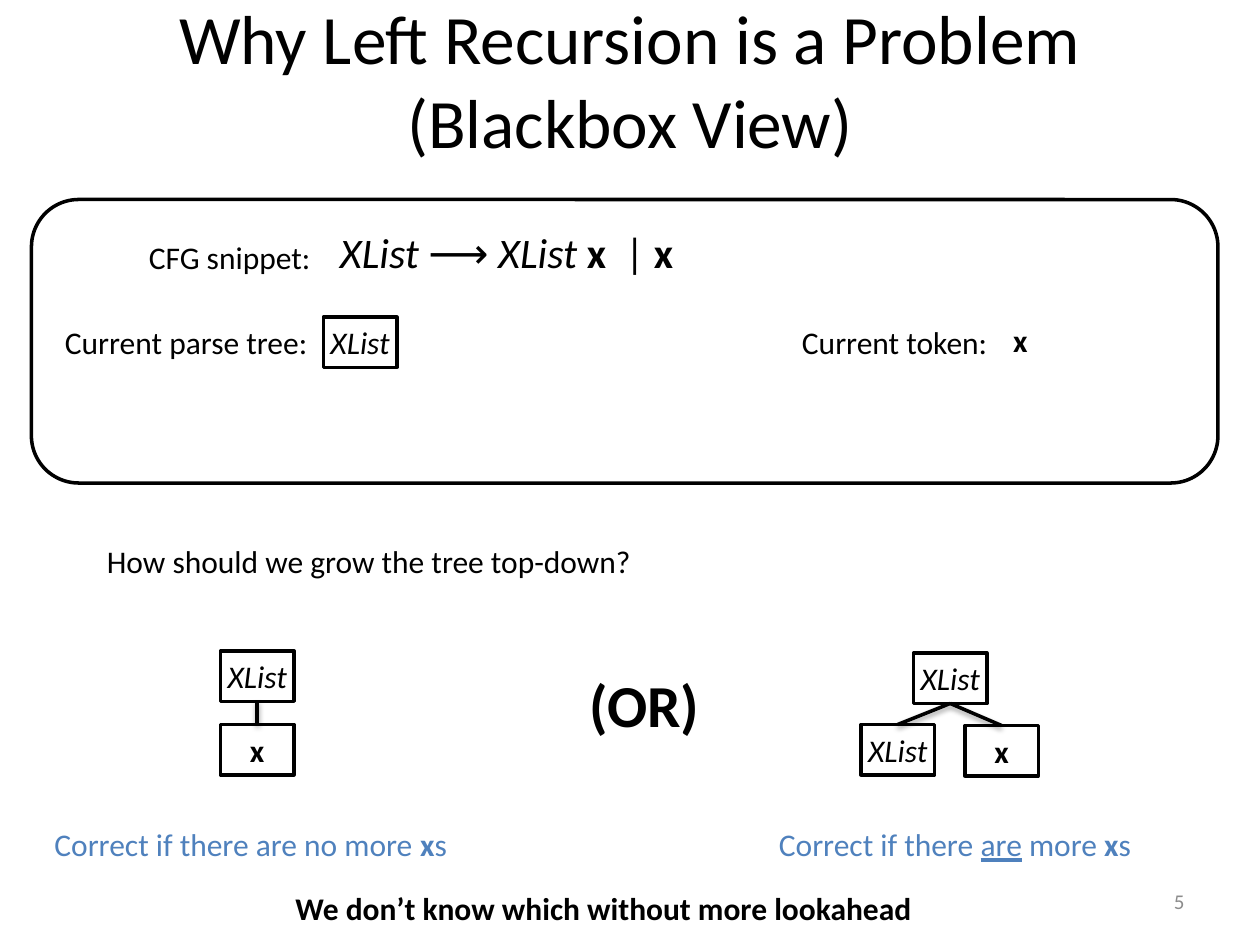
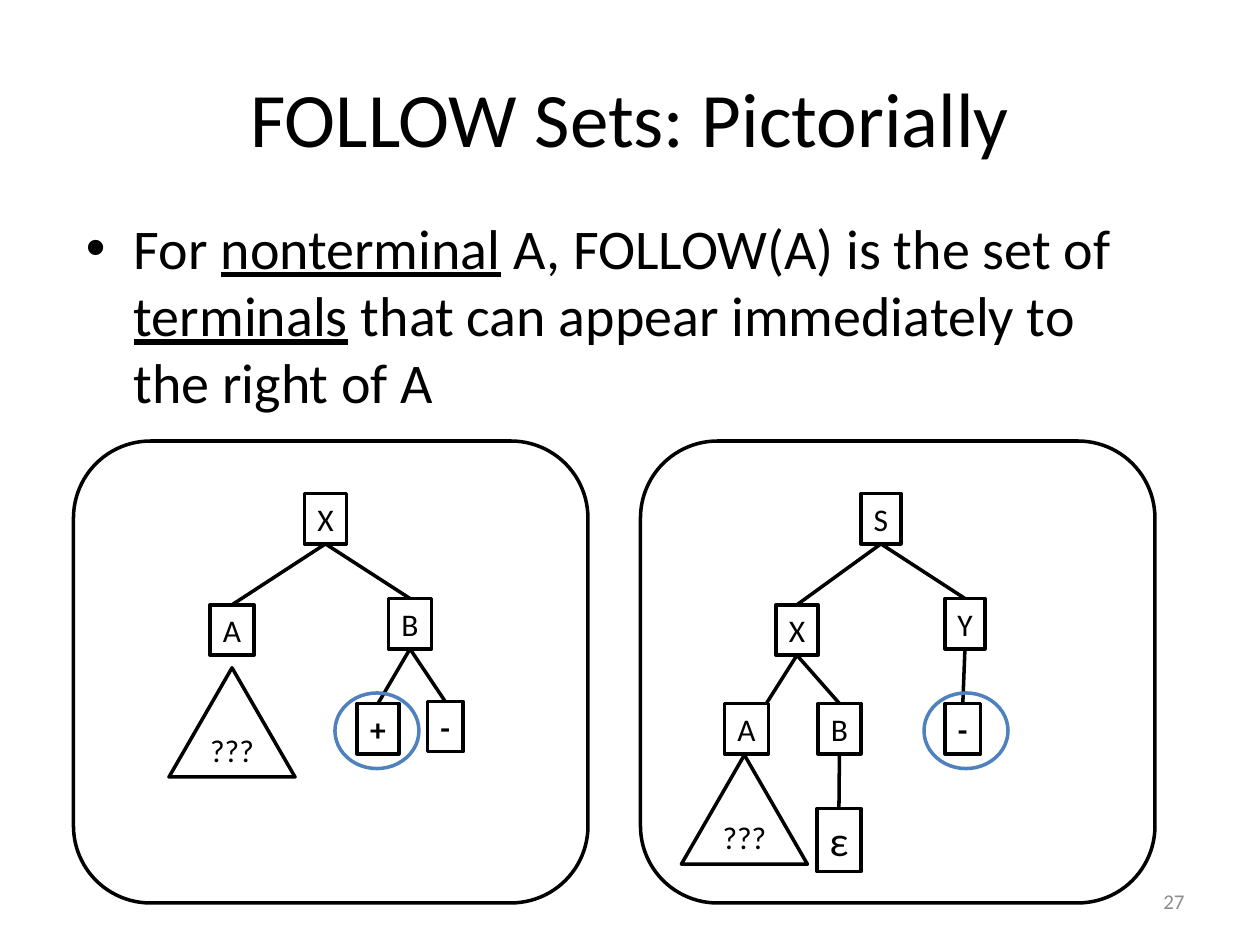
from lxml import etree
from pptx import Presentation
from pptx.dml.color import RGBColor
from pptx.enum.shapes import MSO_CONNECTOR, MSO_SHAPE
from pptx.enum.text import MSO_ANCHOR, MSO_AUTO_SIZE, PP_ALIGN
from pptx.oxml.ns import qn
from pptx.util import Inches, Pt

LEFT, CENTER, RIGHT = PP_ALIGN.LEFT, PP_ALIGN.CENTER, PP_ALIGN.RIGHT
TOP, MIDDLE = MSO_ANCHOR.TOP, MSO_ANCHOR.MIDDLE
RECT, PANEL = MSO_SHAPE.RECTANGLE, MSO_SHAPE.ROUNDED_RECTANGLE
TRIANGLE, ELLIPSE = MSO_SHAPE.ISOSCELES_TRIANGLE, MSO_SHAPE.OVAL
FIT, STRAIGHT = MSO_AUTO_SIZE.SHAPE_TO_FIT_TEXT, MSO_CONNECTOR.STRAIGHT

FONT = "Calibri"
BLACK, WHITE, BLUE, GRAY = "000000", "FFFFFF", "4F81BD", "8C8C8C"
COLS, ROWS = 120, 90
LINE_H = 4.8    # rows taken by one line of 18 pt text
NARROW = 0.05   # inset in inches


def rgb(value):
    return RGBColor.from_string(value)


def write(tf, runs, size=18, color=BLACK, align=LEFT, style="", bullet=False):
    """Fill a frame; runs is a string or (text, style) pairs, style being letters of b, i, u."""
    p = tf.paragraphs[0]
    p.alignment = align
    if bullet:
        pPr = p._p.get_or_add_pPr()
        pPr.set("marL", str(Inches(0.38)))
        pPr.set("indent", str(-Inches(0.38)))
        etree.SubElement(pPr, qn("a:buFont"), typeface="Arial")
        etree.SubElement(pPr, qn("a:buChar"), char="•")
    for text, marks in [(runs, style)] if isinstance(runs, str) else runs:
        for i, part in enumerate(text.split("\n")):
            if i:
                p.add_line_break()
            r = p.add_run()
            r.text = part
            font = r.font
            font.name, font.size = FONT, Pt(size)
            font.color.rgb = rgb(color)
            font.bold, font.italic, font.underline = (m in marks for m in "biu")


class Deck:
    def __init__(self):
        self.prs = Presentation()
        self.prs.slide_width, self.prs.slide_height = Inches(10), Inches(7.5)
        self.s = None

    def box(self, col, row, w, h):
        dx, dy = self.prs.slide_width / COLS, self.prs.slide_height / ROWS
        return round(col * dx), round(row * dy), round(w * dx), round(h * dy)

    def slide(self, number):
        self.s = self.prs.slides.add_slide(self.prs.slide_layouts[6])
        self.text(str(number), 86, 83.4, 28, anchor=MIDDLE, size=12, color=GRAY, align=RIGHT)

    def title(self, text, col, row, w, size=44):
        self.text(text, col, row, w, 15, anchor=MIDDLE, size=size, align=CENTER)

    def text(self, runs, col, row, w, h=LINE_H, wrap=True, anchor=TOP, **fmt):
        tf = self.s.shapes.add_textbox(*self.box(col, row, w, h)).text_frame
        tf.word_wrap, tf.vertical_anchor = wrap, anchor
        write(tf, runs, **fmt)

    def label(self, runs, col, row, w, h=LINE_H, **fmt):
        self.text(runs, col, row, w, h, wrap=False, **fmt)

    def shape(self, kind, col, row, w, h, fill=WHITE, line=BLACK):
        sp = self.s.shapes.add_shape(kind, *self.box(col, row, w, h))
        sp.shadow.inherit = False
        if fill:
            sp.fill.solid()
            sp.fill.fore_color.rgb = rgb(fill)
        else:
            sp.fill.background()
        sp.line.color.rgb, sp.line.width = rgb(line), Pt(2)
        return sp

    def node(self, text, col, row, w, h=LINE_H, wrap=False, inset=0.1, **fmt):
        sp = self.shape(RECT, col, row, w, h)
        tf = sp.text_frame
        tf.word_wrap, tf.auto_size, tf.vertical_anchor = wrap, FIT, TOP
        tf.margin_left = tf.margin_right = Inches(inset)
        write(tf, text, align=CENTER, **fmt)
        return sp

    def xlist(self, col, row):
        return self.node("XList", col, row, 7, wrap=True, inset=NARROW, style="i")

    def token(self, col, row):
        return self.node("x", col, row, 7, wrap=True, style="b")

    def subtree(self, col, row):
        """Triangle that stands for an unknown subtree."""
        tf = self.shape(TRIANGLE, col, row, 12, 10.4).text_frame
        tf.vertical_anchor = MIDDLE
        tf.margin_left = tf.margin_right = tf.margin_top = tf.margin_bottom = Inches(NARROW)
        write(tf, "???", align=CENTER)

    def ring(self, col, row):
        self.shape(ELLIPSE, col, row, 8, 7.2, fill=None, line=BLUE)

    def edge(self, parent, child, at=0.5, shadow=False):
        """Join parent's bottom to child's top, at a share of the child's width."""
        line = self.s.shapes.add_connector(
            STRAIGHT, parent.left + parent.width // 2, parent.top + parent.height,
            child.left + round(child.width * at), child.top)
        line.begin_connect(parent, 2)
        if at == 0.5:
            line.end_connect(child, 0)
        line.line.color.rgb, line.line.width = rgb(BLACK), Pt(2)
        effects = etree.SubElement(line._element.spPr, qn("a:effectLst"))
        if shadow:
            outer = etree.SubElement(effects, qn("a:outerShdw"), blurRad=str(Pt(3.1)),
                                     dist=str(Pt(1.6)), dir="5400000", rotWithShape="0")
            clr = etree.SubElement(outer, qn("a:srgbClr"), val=BLACK)
            etree.SubElement(clr, qn("a:alpha"), val="38000")

    def edges(self, parent, *children, **fmt):
        for child in children:
            self.edge(parent, child, **fmt)


def left_recursion(d):
    d.slide(5)
    d.shape(PANEL, 3, 19, 113, 27)
    d.title("Why Left Recursion is a Problem\n(Blackbox View)", 0, 0, 120, size=39.6)

    d.label("CFG snippet:", 13, 22.1, 18)
    d.text([("XList ", "i"), ("⟶ ", ""), ("XList ", "i"), ("x  ", "b"), ("| ", ""), ("x", "b")],
           31.2, 21, 48, 6, size=24)
    d.label("Current parse tree:", 5, 30.2, 25.8)
    d.xlist(30.8, 30.2)
    d.label("Current token:", 75.2, 30.2, 20.3)
    d.label("x", 95.3, 30, 3.8, style="b")
    d.label("How should we grow the tree top-down?", 9, 51, 53)

    d.edges(d.xlist(21, 62), d.token(21, 69), shadow=True)
    d.label("(OR)", 55, 63, 13, 8, size=34, style="b")
    d.edges(d.xlist(87, 62.2), d.xlist(82, 69), d.token(91.9, 69.1), shadow=True)

    d.label([("Correct if there are no more ", ""), ("x", "b"), ("s", "")],
            4, 78, 40.2, color=BLUE)
    d.label([("Correct if there ", ""), ("are", "u"), (" more ", ""), ("x", "b"), ("s", "")],
            73, 78, 37.1, color=BLUE)
    d.text("We don’t know which without more lookahead", 24.5, 84.1, 66, align=CENTER, style="b")


def follow_sets(d):
    d.slide(27)
    for col in (7, 61):
        d.shape(PANEL, col, 42, 49, 44)
    d.title("FOLLOW Sets: Pictorially", 6, 3.6, 108)
    d.text([("For ", ""), ("nonterminal", "u"), (" A, FOLLOW(A) is the set of ", ""),
            ("terminals", "u"), (" that can appear immediately to the right of A", "")],
           7, 19.7, 105, 22.3, size=32, bullet=True)

    x, a, b = d.node("X", 29, 47, 4), d.node("A", 20, 57.6, 4.2), d.node("B", 37, 57, 4.1)
    plus, minus = d.node("+", 34, 67, 4, style="b"), d.node("-", 40.7, 66.8, 3.4, style="b")
    d.edges(x, a, b)
    d.edges(b, plus, minus)
    d.subtree(16.1, 63.6)
    d.ring(31.9, 66)

    start, x, y = d.node("S", 82, 47, 3.8), d.node("X", 73.9, 57.6, 4), d.node("Y", 90, 57, 3.8)
    a, b = d.node("A", 69, 67, 4.2), d.node("B", 77.9, 67, 4.1)
    minus = d.node("-", 90, 67, 3.4, style="b")
    epsilon = d.node("ε", 77.8, 77, 4.2, 6, size=24)
    d.edges(start, x, y)
    d.edge(y, minus)
    d.edge(x, a, at=0.95)
    d.edge(x, b)
    d.edge(b, epsilon)
    d.subtree(64.9, 71.9)
    d.ring(88, 66)


def main():
    d = Deck()
    left_recursion(d)
    follow_sets(d)
    d.prs.save("out.pptx")


if __name__ == "__main__":
    main()
